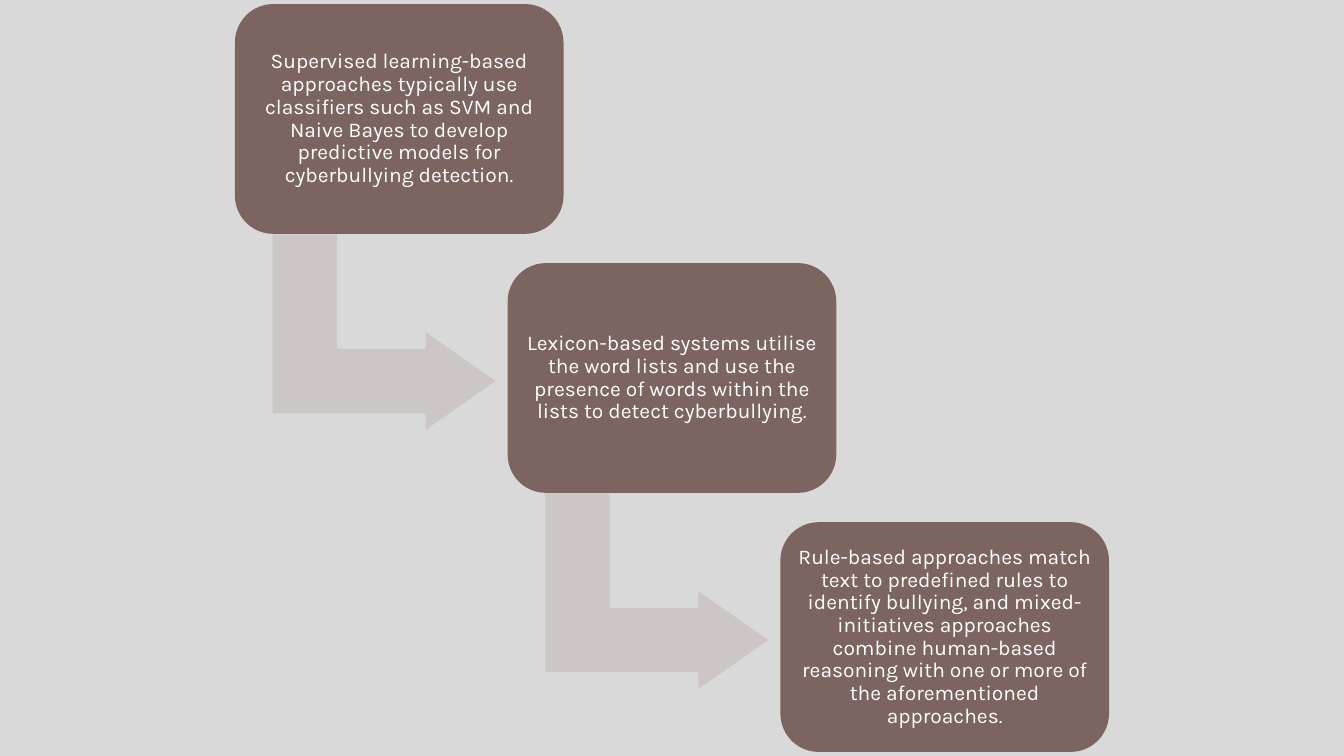
"""Builds a slide with a descending staircase of three cyberbullying detection approaches."""
from dataclasses import dataclass

from pptx import Presentation
from pptx.dml.color import RGBColor
from pptx.enum.shapes import MSO_SHAPE as Preset
from pptx.enum.text import MSO_ANCHOR as Anchor, PP_ALIGN as Align
from pptx.shapes.autoshape import Shape
from pptx.slide import Slide
from pptx.util import Inches, Pt


@dataclass(frozen=True)
class Theme:
    background: str = "D9D9D9"
    box: str = "7C6560"
    arrow: str = "CCC6C5"
    text: str = "FFFFFF"
    font: str = "Karla"
    size: int = 15


@dataclass(frozen=True)
class Frame:
    left: float
    top: float
    width: float
    height: float

    def moved(self, across: float, down: float) -> "Frame":
        return Frame(self.left + across, self.top + down, self.width, self.height)


@dataclass(frozen=True)
class Approach:
    text: str
    leads_on: bool = True


THEME = Theme()
SLIDE_WIDTH, SLIDE_HEIGHT = 13.33, 7.5
FIRST_BOX = Frame(2.33, 0.04, 3.26, 2.28)
FIRST_ARROW = Frame(2.84, 2.19, 1.94, 2.21)
APPROACHES = (
    Approach("Supervised learning-based approaches typically use classifiers such as SVM "
             "and Naive Bayes to develop predictive models for cyberbullying detection."),
    Approach("Lexicon-based systems utilise the word lists and use the presence of words "
             "within the lists to detect cyberbullying."),
    Approach("Rule-based approaches match text to predefined rules to identify bullying, "
             "and mixed-initiatives approaches combine human-based reasoning with one or "
             "more of the aforementioned approaches.", leads_on=False),
)
STEPS = len(APPROACHES) - 1
STEP_ACROSS = (SLIDE_WIDTH - 2 * FIRST_BOX.left - FIRST_BOX.width) / STEPS
STEP_DOWN = (SLIDE_HEIGHT - 2 * FIRST_BOX.top - FIRST_BOX.height) / STEPS
BOX_CORNER = (0.167,)
ARROW_BEND = (0.328, 0.25, 0.358)


def apply_format(target: object, values: dict[str, object]) -> None:
    for name, value in values.items():
        setattr(target, name, value)


def add_flat_shape(page: Slide, preset: Preset, frame: Frame, color: str,
                   adjustments: tuple[float, ...]) -> Shape:
    shape = page.shapes.add_shape(preset, Inches(frame.left), Inches(frame.top),
                                  Inches(frame.width), Inches(frame.height))
    for index, value in enumerate(adjustments):
        shape.adjustments[index] = value
    shape.shadow.inherit = False
    shape.fill.solid()
    shape.fill.fore_color.rgb = RGBColor.from_string(color)
    shape.line.fill.background()
    return shape


def add_arrow(page: Slide, frame: Frame) -> None:
    arrow = add_flat_shape(page, Preset.BENT_UP_ARROW, frame, THEME.arrow, ARROW_BEND)
    arrow.rotation = 90


def add_box(page: Slide, frame: Frame, text: str) -> None:
    box = add_flat_shape(page, Preset.ROUNDED_RECTANGLE, frame, THEME.box, BOX_CORNER)
    sides = ("left", "top", "right", "bottom")
    apply_format(box.text_frame, {"word_wrap": True, "vertical_anchor": Anchor.MIDDLE}
                 | {f"margin_{side}": Inches(0.06) for side in sides})
    para = box.text_frame.paragraphs[0]
    apply_format(para, {"alignment": Align.CENTER, "line_spacing": 0.9})
    span = para.add_run()
    span.text = text
    apply_format(span.font, {"name": THEME.font, "size": Pt(THEME.size)})
    span.font.color.rgb = RGBColor.from_string(THEME.text)


def main() -> None:
    deck = Presentation()
    apply_format(deck, {"slide_width": Inches(SLIDE_WIDTH),
                        "slide_height": Inches(SLIDE_HEIGHT)})
    page = deck.slides.add_slide(deck.slide_layouts.get_by_name("Blank"))
    page.background.fill.solid()
    page.background.fill.fore_color.rgb = RGBColor.from_string(THEME.background)
    for step, approach in enumerate(APPROACHES):
        offset = (step * STEP_ACROSS, step * STEP_DOWN)
        if approach.leads_on:
            add_arrow(page, FIRST_ARROW.moved(*offset))
        add_box(page, FIRST_BOX.moved(*offset), approach.text)
    deck.save("out.pptx")


if __name__ == "__main__":
    main()
